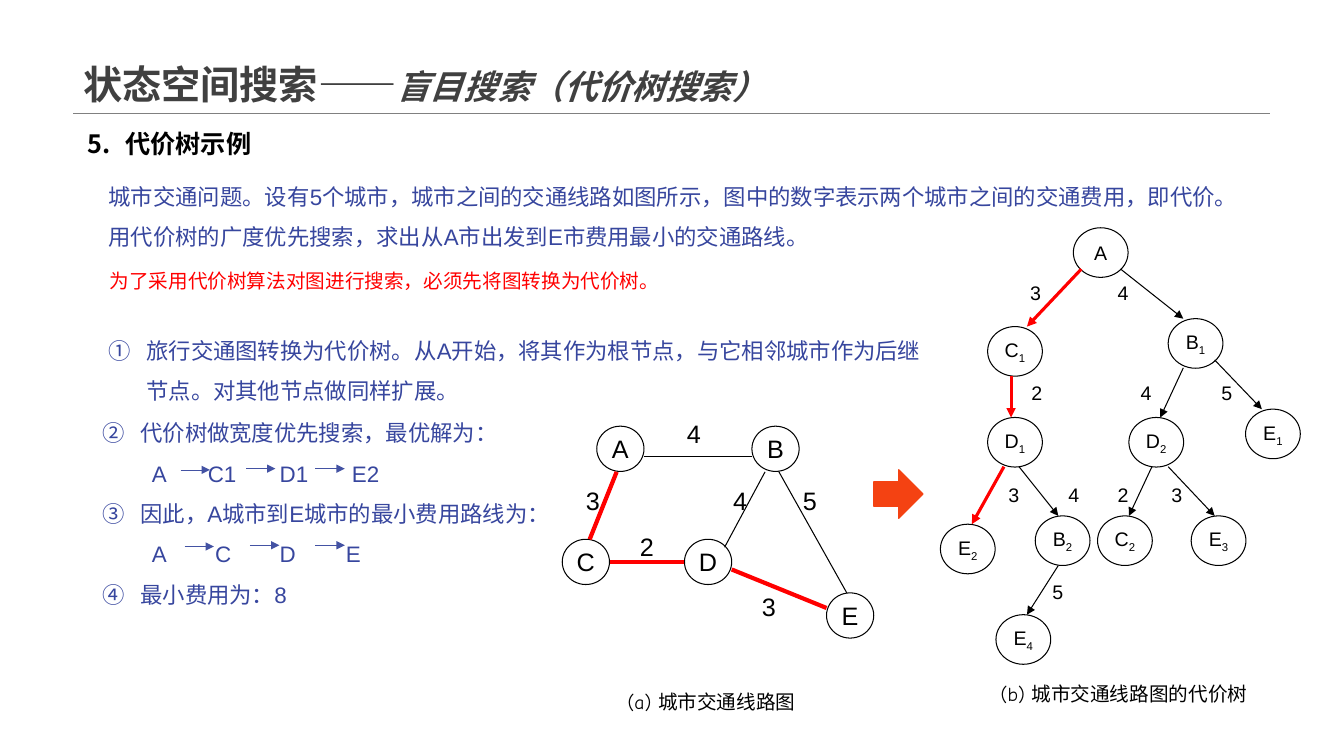
"""Build the slide on the cost tree of the city route problem."""
from lxml.etree import SubElement
from pptx import Presentation
from pptx.dml.color import RGBColor
from pptx.enum.shapes import MSO_CONNECTOR as LINK, MSO_SHAPE as SHAPE
from pptx.enum.text import MSO_ANCHOR as ANCHOR, PP_ALIGN as ALIGN
from pptx.oxml.ns import qn
from pptx.util import Cm, Pt

rgb = RGBColor.from_string
BLACK, BLUE, RED, GRAY = "000000", "37469E", "FF0000", "404040"
CJK = "Noto Sans CJK SC"

deck = Presentation()
deck.slide_width, deck.slide_height = Cm(33.87), Cm(19.05)
shapes = deck.slides.add_slide(deck.slide_layouts[6]).shapes


def frame(x, y, wide, high, anchor=ANCHOR.TOP):
    body = shapes.add_textbox(Cm(x), Cm(y), Cm(wide), Cm(high)).text_frame
    body.word_wrap = True
    body.vertical_anchor = anchor
    return body


def write(par, text, size=14, color=BLACK, bold=False, italic=False,
          face="Arial", lead=None, align=None, mark=None, start=1,
          tabs=(), low=False):
    if lead:
        par.line_spacing = lead
    if align:
        par.alignment = align
    props = par._p.get_or_add_pPr()
    if mark:
        props.set("marL", str(Cm(0.95)))
        props.set("indent", str(-Cm(0.95)))
        SubElement(props, qn("a:buAutoNum"), type=mark, startAt=str(start))
    if tabs:
        stops = SubElement(props, qn("a:tabLst"))
        for stop in tabs:
            SubElement(stops, qn("a:tab"), pos=str(Cm(stop)), algn="l")
    run = par.add_run()
    run.text = text
    font = run.font
    font.size, font.bold, font.italic = Pt(size), bold, italic
    font.name = face
    font.color.rgb = rgb(color)
    style = run._r.get_or_add_rPr()
    SubElement(style, qn("a:ea"), typeface=CJK)
    if low:
        style.set("baseline", "-25000")


title = frame(1.85, 0, 30.15, 2.84, ANCHOR.BOTTOM).paragraphs[0]
write(title, "状态空间搜索——", size=28, color=GRAY, bold=True, lead=0.9)
write(title, "盲目搜索（代价树搜索）", size=24, color=GRAY, bold=True, italic=True)

head = frame(1.96, 2.74, 21.54, 1.4, ANCHOR.BOTTOM).paragraphs[0]
write(head, "代价树示例", size=18, bold=True, lead=0.9,
      mark="arabicPeriod", start=5)

task = frame(2.49, 4.14, 29.49, 2.18).paragraphs[0]
write(task, "城市交通问题。设有5个城市，城市之间的交通线路如图所示，"
      "图中的数字表示两个城市之间的交通费用，即代价。"
      "用代价树的广度优先搜索，求出从A市出发到E市费用最小的交通路线。",
      size=16, color=BLUE, lead=1.5)

note = frame(2.51, 6.65, 26.5, 0.86).paragraphs[0]
write(note, "为了采用代价树算法对图进行搜索，必须先将图转换为代价树。",
      color=RED, face=CJK)

ring = "circleNumDbPlain"
first = frame(2.49, 8.03, 21, 3.2).paragraphs[0]
write(first, "旅行交通图转换为代价树。从A开始，将其作为根节点，"
      "与它相邻城市作为后继节点。对其他节点做同样扩展。",
      size=16, color=BLUE, lead=1.5, mark=ring)

steps = [
    ("代价树做宽度优先搜索，最优解为：", dict(mark=ring, start=2)),
    ("\tA\tC1\tD1\tE2", dict(tabs=(1.24, 2.65, 4.46, 6.28))),
    ("因此，A城市到E城市的最小费用路线为：", dict(mark=ring, start=3)),
    ("\tA\tC\tD\tE", dict(tabs=(1.24, 2.83, 4.46, 6.13))),
    ("最小费用为：8", dict(mark=ring, start=4)),
]
body = frame(2.34, 10.11, 16.94, 5.38)
for i, (text, form) in enumerate(steps):
    par = body.add_paragraph() if i else body.paragraphs[0]
    write(par, text, size=16, color=BLUE, lead=1.5, **form)

tree = [
    ("A", 27.05, 5.74), ("C1", 24.89, 8.23), ("B1", 29.44, 8.03),
    ("D1", 24.89, 10.52), ("D2", 28.45, 10.52), ("E1", 31.39, 10.31),
    ("E2", 23.7, 13.21), ("B2", 26.09, 13), ("C2", 27.66, 13),
    ("E3", 30.02, 13), ("E4", 25.1, 15.49),
]
graph = [
    ("A", 15.04, 10.74), ("B", 18.95, 10.74), ("C", 14.17, 13.59),
    ("D", 17.25, 13.59), ("E", 20.83, 14.94),
]
for nodes, wide, high, size in [(tree, 1.38, 1.25, 14), (graph, 1.19, 1.14, 18)]:
    for name, x, y in nodes:
        node = shapes.add_shape(SHAPE.OVAL, Cm(x), Cm(y), Cm(wide), Cm(high))
        node.shadow.inherit = False
        node.fill.background()
        node.line.color.rgb = rgb(BLACK)
        node.line.width = Pt(0.75)
        node.text_frame.word_wrap = False
        node.text_frame.vertical_anchor = ANCHOR.MIDDLE
        par = node.text_frame.paragraphs[0]
        write(par, name[0], size=size, align=ALIGN.CENTER)
        if name[1:]:
            write(par, name[1:], size=size, low=True)

arrow = shapes.add_shape(SHAPE.RIGHT_ARROW, Cm(22.02), Cm(11.84), Cm(1.24), Cm(1.22))
arrow.shadow.inherit = False
arrow.fill.solid()
arrow.fill.fore_color.rgb = arrow.line.color.rgb = rgb("F44212")
arrow.line.width = Pt(1)

thin, thick, bold = (BLACK, 0.75), (RED, 2.25), (RED, 3)
edges = [
    (27.25, 6.78, 25.88, 8.23, thick), (28.24, 6.78, 29.82, 8.03, thin),
    (25.48, 9.47, 25.48, 10.52, thick), (29.82, 9.27, 29.24, 10.52, thin),
    (30.61, 9.07, 31.8, 10.31, thin), (25.3, 11.76, 24.49, 13.21, thick),
    (25.68, 11.76, 26.67, 13, thin), (29.03, 11.76, 28.45, 13, thin),
    (29.44, 11.76, 30.61, 13, thin), (26.67, 14.25, 25.88, 15.49, thin),
]
hops = [(4.55, 11.84), (6.2, 11.81), (7.95, 11.81),
        (4.65, 13.77), (6.3, 13.74), (7.95, 13.74)]
edges += [(x, y, x + 0.74, y, ("4352A3", 0.5)) for x, y in hops]
roads = [
    (1.85, 2.84, 32, 2.84, ("808080", 0.25)),
    (15.54, 11.89, 14.86, 13.59, bold), (16.23, 11.51, 18.95, 11.51, thin),
    (15.37, 14.17, 17.25, 14.17, bold), (18.26, 13.79, 19.28, 11.89, thin),
    (18.44, 14.35, 20.83, 15.32, bold), (19.63, 11.89, 21.34, 14.94, thin),
]
for group, tip in [(edges, True), (roads, False)]:
    for x, y, to_x, to_y, (color, width) in group:
        line = shapes.add_connector(LINK.STRAIGHT, Cm(x), Cm(y), Cm(to_x), Cm(to_y))
        line.line.color.rgb = rgb(color)
        line.line.width = Pt(width)
        if tip:
            SubElement(line.line._get_or_add_ln(), qn("a:tailEnd"), type="triangle")
        SubElement(line._element.spPr, qn("a:effectLst"))

costs = [
    (14, [("3", 26.1, 7.38), ("4", 28.3, 7.38), ("2", 26.13, 9.9),
          ("4", 28.88, 9.9), ("5", 30.92, 9.9), ("3", 25.55, 12.47),
          ("4", 27.06, 12.47), ("2", 28.3, 12.47), ("3", 29.66, 12.47),
          ("5", 26.66, 14.92)]),
    (18, [("4", 17.49, 10.91), ("3", 14.94, 12.6), ("4", 18.65, 12.6),
          ("5", 20.41, 12.6), ("2", 16.3, 13.76), ("3", 19.38, 15.27)]),
]
for size, marks in costs:
    for text, x, y in marks:
        par = frame(x - 0.5, y - 0.5, 1, 1, ANCHOR.MIDDLE).paragraphs[0]
        write(par, text, size=size, align=ALIGN.CENTER)

for text, x, y, wide in [("(a) 城市交通线路图", 15.57, 17.27, 5.26),
                         ("(b) 城市交通线路图的代价树", 24.97, 17.07, 7.82)]:
    write(frame(x, y, wide, 0.86).paragraphs[0], text, face="Comic Neue")

deck.save("out.pptx")
